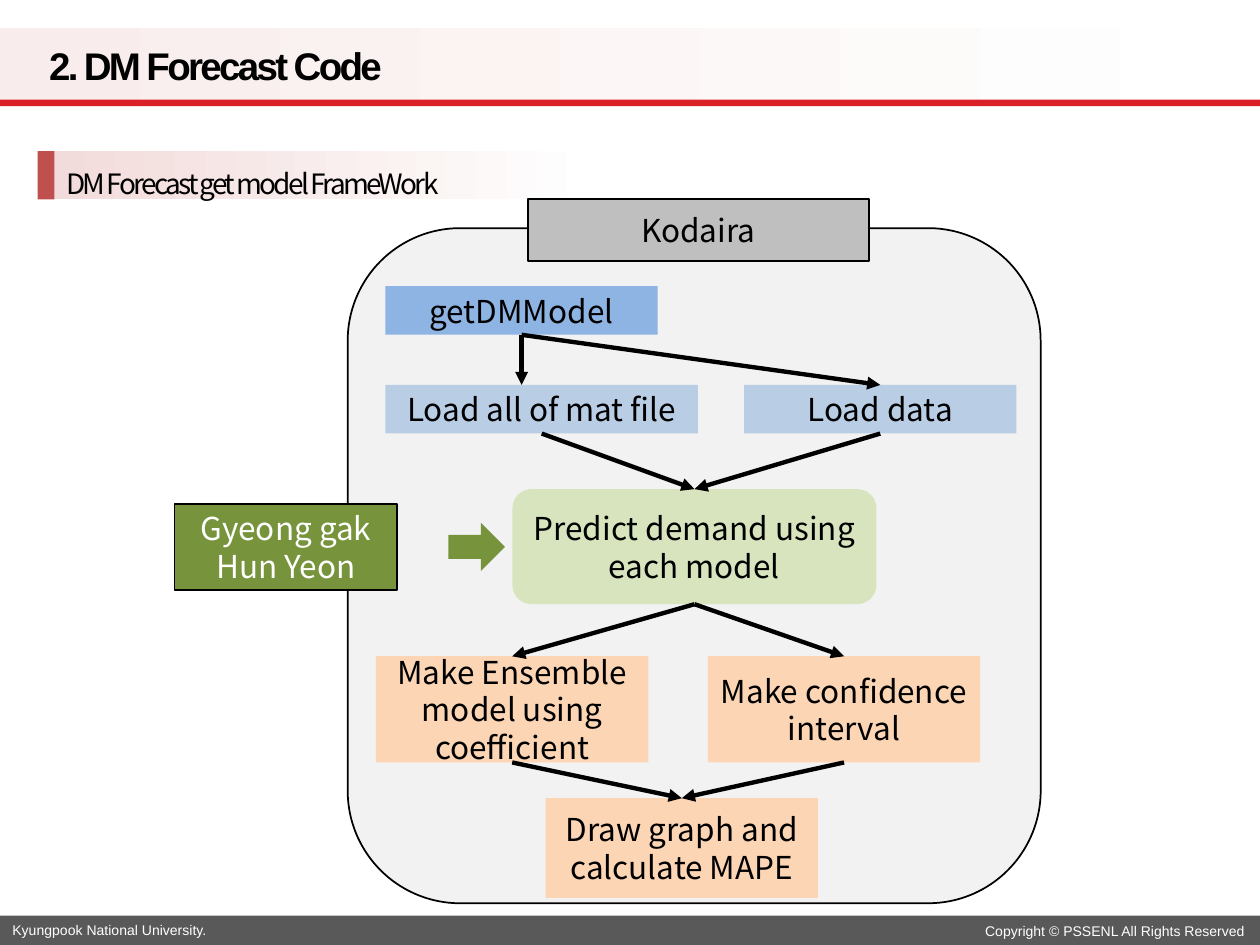
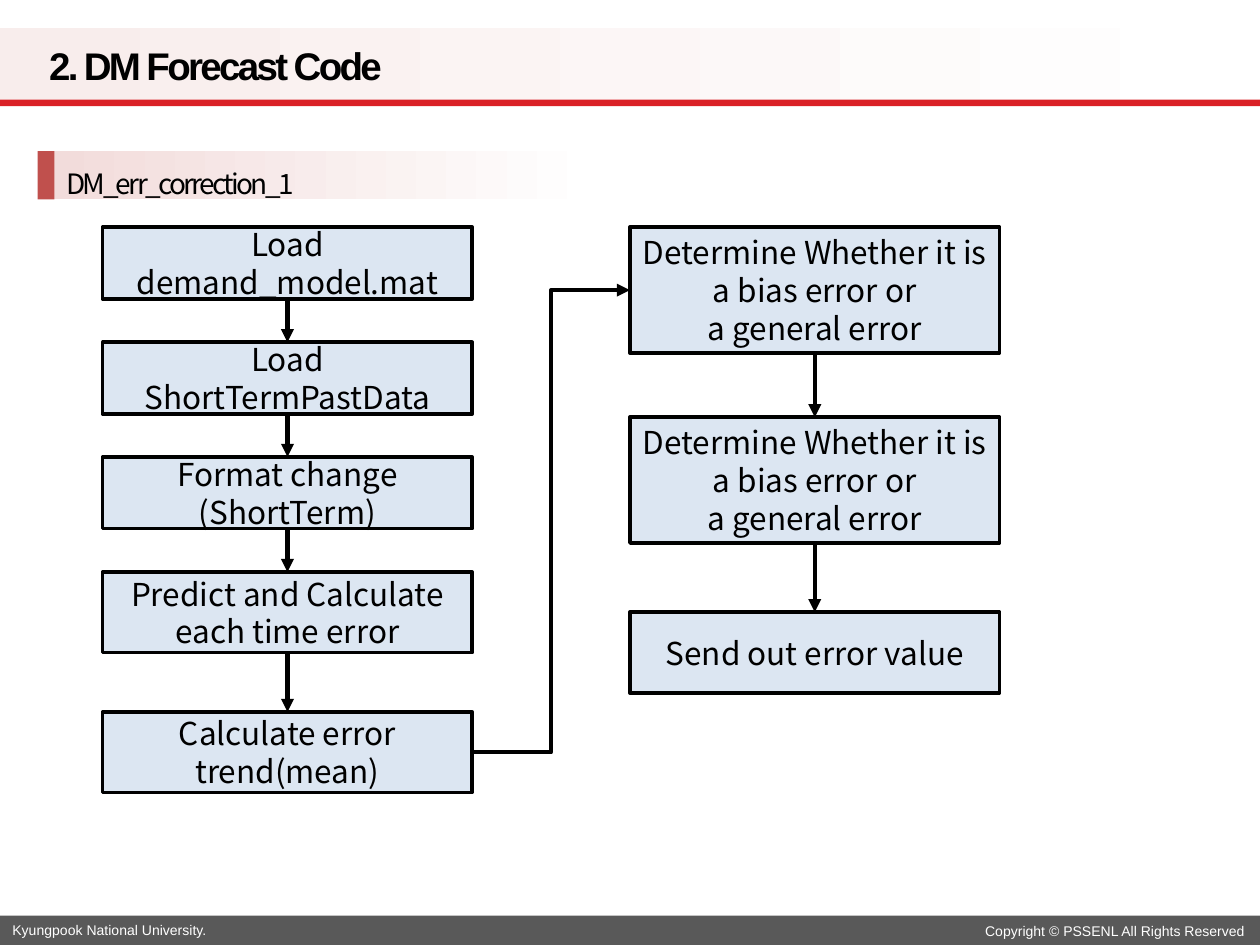
from dataclasses import dataclass
from typing import Optional

import lxml.etree
import pptx
import pptx.dml.color
import pptx.enum.shapes
import pptx.enum.text
import pptx.oxml.ns
import pptx.util

Cm = pptx.util.Cm
Pt = pptx.util.Pt
Shape = pptx.enum.shapes.MSO_SHAPE
Connector = pptx.enum.shapes.MSO_CONNECTOR
Align = pptx.enum.text.PP_ALIGN
Anchor = pptx.enum.text.MSO_ANCHOR
qn = pptx.oxml.ns.qn

TOP, LEFT, BOTTOM, RIGHT = range(4)


@dataclass(frozen=True)
class Theme:
    black: str = "000000"
    white: str = "FFFFFF"
    title_band: str = "F8EDEC"
    rule: str = "DA2127"
    footer: str = "595959"
    heading_band: str = "F2DCDB"
    heading_mark: str = "C0504D"
    frame: str = "F2F2F2"
    label: str = "BFBFBF"
    entry: str = "8EB4E3"
    load: str = "B9CDE5"
    predict: str = "D7E4BD"
    author: str = "77933C"
    output: str = "FCD5B5"
    step: str = "DCE6F2"
    title_font: str = "Arial"
    body_font: str = "Noto Sans CJK KR"
    title_size: int = 22
    heading_size: int = 16
    body_size: int = 18
    footer_size: int = 8
    tight_spacing: int = -150
    thin: float = 1
    medium: float = 2
    thick: float = 2.5


THEME = Theme()


@dataclass(frozen=True)
class Area:
    left: float
    top: float
    width: float
    height: float

    def lengths(self) -> tuple:
        return Cm(self.left), Cm(self.top), Cm(self.width), Cm(self.height)


@dataclass(frozen=True)
class TextStyle:
    size: int = THEME.body_size
    font: str = THEME.body_font
    color: str = THEME.black
    bold: bool = False
    spacing: int = 0
    align: Align = Align.CENTER
    line_spacing: Optional[float] = None


@dataclass(frozen=True)
class Node:
    name: str
    area: Area
    fill: str
    text: str = ""
    outline: float = 0
    style: TextStyle = TextStyle()
    kind: Shape = Shape.RECTANGLE


@dataclass(frozen=True)
class Link:
    start: str
    end: str
    start_side: int = BOTTOM
    end_side: int = TOP
    kind: Connector = Connector.STRAIGHT
    plumb: bool = False


TITLE_STYLE = TextStyle(THEME.title_size, THEME.title_font, bold=True,
                        spacing=THEME.tight_spacing, align=Align.LEFT)
HEADING_STYLE = TextStyle(THEME.heading_size, spacing=THEME.tight_spacing,
                          align=Align.JUSTIFY, line_spacing=1.5)


def rgb(value: str) -> pptx.dml.color.RGBColor:
    return pptx.dml.color.RGBColor.from_string(value)


def write(box, text: str, style: TextStyle) -> None:
    box.text_frame.text = text
    for para in box.text_frame.paragraphs:
        para.alignment = style.align
        para.line_spacing = style.line_spacing
        for span in para.runs:
            span.font.size = Pt(style.size)
            span.font.name = style.font
            span.font.bold = style.bold
            span.font.color.rgb = rgb(style.color)
            if style.spacing:
                span._r.get_or_add_rPr().set("spc", str(style.spacing))


def write_middle(box, text: str, style: TextStyle) -> None:
    box.text_frame.word_wrap = True
    box.text_frame.vertical_anchor = Anchor.MIDDLE
    write(box, text, style)


def draw_node(page, node: Node):
    box = page.shapes.add_shape(node.kind, *node.area.lengths())
    box.shadow.inherit = False
    box.fill.solid()
    box.fill.fore_color.rgb = rgb(node.fill)
    if node.outline:
        box.line.color.rgb = rgb(THEME.black)
        box.line.width = Pt(node.outline)
    else:
        box.line.fill.background()
    if node.text:
        write_middle(box, node.text, node.style)
    return box


def draw_fading_band(page, node: Node) -> None:
    band = draw_node(page, node)
    band.fill.gradient()
    band.fill.gradient_angle = 0
    for stop, shade in zip(band.fill.gradient_stops, (node.fill, THEME.white)):
        stop.color.rgb = rgb(shade)


def draw_link(page, link: Link, boxes: dict) -> None:
    arrow = page.shapes.add_connector(link.kind, 0, 0, 0, 0)
    arrow.begin_connect(boxes[link.start], link.start_side)
    if link.plumb:
        arrow.end_x = arrow.begin_x
        arrow.end_y = boxes[link.end].top
    else:
        arrow.end_connect(boxes[link.end], link.end_side)
    arrow.line.color.rgb = rgb(THEME.black)
    arrow.line.width = Pt(THEME.thick)
    lxml.etree.SubElement(arrow.line._get_or_add_ln(), qn("a:tailEnd"), type="triangle")
    lxml.etree.SubElement(arrow._element.spPr, qn("a:effectLst"))


def draw_footer_text(page, area: Area, text: str, align: Align) -> None:
    box = page.shapes.add_textbox(*area.lengths())
    box.text_frame.word_wrap = False
    box.text_frame.auto_size = pptx.enum.text.MSO_AUTO_SIZE.SHAPE_TO_FIT_TEXT
    write(box, text, TextStyle(THEME.footer_size, THEME.title_font, THEME.white, align=align))


def add_page(deck, heading: str, nodes: list[Node], links: list[Link]) -> None:
    page = deck.slides.add_slide(deck.slide_layouts[6])
    draw_fading_band(page, Node("title band", Area(0, 0.56, 25.4, 1.45), THEME.title_band))
    draw_node(page, Node("rule", Area(0, 2.01, 25.4, 0.13), THEME.rule))
    draw_node(page, Node("footer", Area(0, 18.46, 25.4, 0.59), THEME.footer))
    draw_footer_text(page, Area(0, 18.46, 4.6, 0.6),
                     "Kyungpook National University.", Align.LEFT)
    draw_footer_text(page, Area(19.56, 18.47, 5.84, 0.6),
                     "Copyright © PSSENL All Rights Reserved", Align.CENTER)

    title = page.shapes.add_textbox(*Area(0.74, 0.61, 24.64, 1.42).lengths())
    write_middle(title, "2. DM Forecast Code", TITLE_STYLE)
    draw_fading_band(page, Node("heading", Area(1.09, 3.05, 10.95, 0.97),
                                THEME.heading_band, heading, style=HEADING_STYLE))
    draw_node(page, Node("mark", Area(0.76, 3.05, 0.34, 0.97), THEME.heading_mark))

    boxes = {node.name: draw_node(page, node) for node in nodes}
    for link in links:
        draw_link(page, link, boxes)


def add_framework_page(deck) -> None:
    width, height = 5.49, 0.98
    nodes = [
        Node("frame", Area(7.01, 4.6, 13.97, 13.61), THEME.frame,
             outline=THEME.thin, kind=Shape.ROUNDED_RECTANGLE),
        Node("label", Area(10.64, 4.02, 6.88, 1.24), THEME.label, "Kodaira", THEME.thin),
        Node("entry", Area(7.77, 5.77, width, height), THEME.entry, "getDMModel"),
        Node("files", Area(7.77, 7.76, 6.3, height), THEME.load, "Load all of mat file"),
        Node("data", Area(15, 7.76, width, height), THEME.load, "Load data"),
        Node("predict", Area(10.33, 9.86, 7.34, 2.32), THEME.predict,
             "Predict demand using each model", kind=Shape.ROUNDED_RECTANGLE),
        Node("author", Area(3.52, 10.16, 4.49, 1.73), THEME.author,
             "Gyeong gak\nHun Yeon", THEME.thin, TextStyle(color=THEME.white)),
        Node("pointer", Area(9.04, 10.54, 1.14, 0.97), THEME.author, kind=Shape.RIGHT_ARROW),
        Node("ensemble", Area(7.58, 13.23, width, 2.14), THEME.output,
             "Make Ensemble model using coefficient"),
        Node("interval", Area(14.27, 13.23, width, 2.14), THEME.output,
             "Make confidence\ninterval"),
        Node("graph", Area(11, 16.09, width, 2.01), THEME.output,
             "Draw graph and calculate MAPE"),
    ]
    links = [Link("entry", "files", plumb=True)]
    links += [Link(start, end) for start, end in (
        ("entry", "data"), ("files", "predict"), ("data", "predict"),
        ("predict", "ensemble"), ("predict", "interval"),
        ("ensemble", "graph"), ("interval", "graph"))]
    add_page(deck, "DM Forecast get model FrameWork", nodes, links)


def add_correction_page(deck) -> None:
    decision = "Determine Whether it is a bias error or\na general error"
    left_column, right_column, width = 2.07, 12.7, 7.45
    short, medium, tall = 1.45, 1.63, 2.54
    steps = [
        ("model", left_column, 4.58, short, "Load demand_model.mat"),
        ("past data", left_column, 6.9, short, "Load ShortTermPastData"),
        ("format", left_column, 9.21, short, "Format change\n(ShortTerm)"),
        ("predict", left_column, 11.53, medium, "Predict and Calculate each time error"),
        ("trend", left_column, 14.35, medium, "Calculate error trend(mean)"),
        ("first decision", right_column, 4.58, tall, decision),
        ("second decision", right_column, 8.41, tall, decision),
        ("result", right_column, 12.34, medium, "Send out error value"),
    ]
    nodes = [Node(name, Area(left, top, width, height), THEME.step, text, THEME.medium)
             for name, left, top, height, text in steps]
    links = [Link(upper.name, lower.name) for upper, lower in zip(nodes, nodes[1:])
             if upper.area.left == lower.area.left]
    links.append(Link("trend", "first decision", RIGHT, LEFT, Connector.ELBOW))
    add_page(deck, "DM_err_correction_1", nodes, links)


def main() -> None:
    deck = pptx.Presentation()
    deck.slide_width, deck.slide_height = Cm(25.4), Cm(19.05)
    add_framework_page(deck)
    add_correction_page(deck)
    deck.save("out.pptx")


if __name__ == "__main__":
    main()
